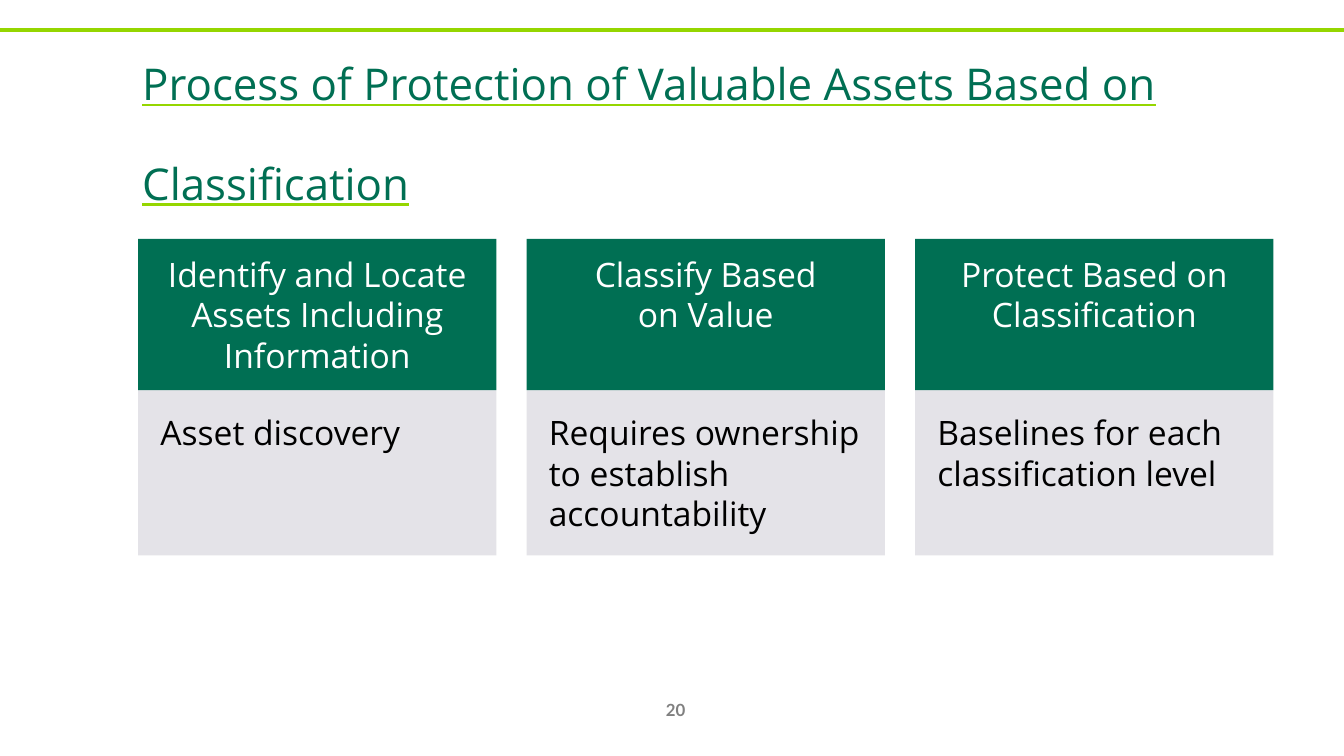
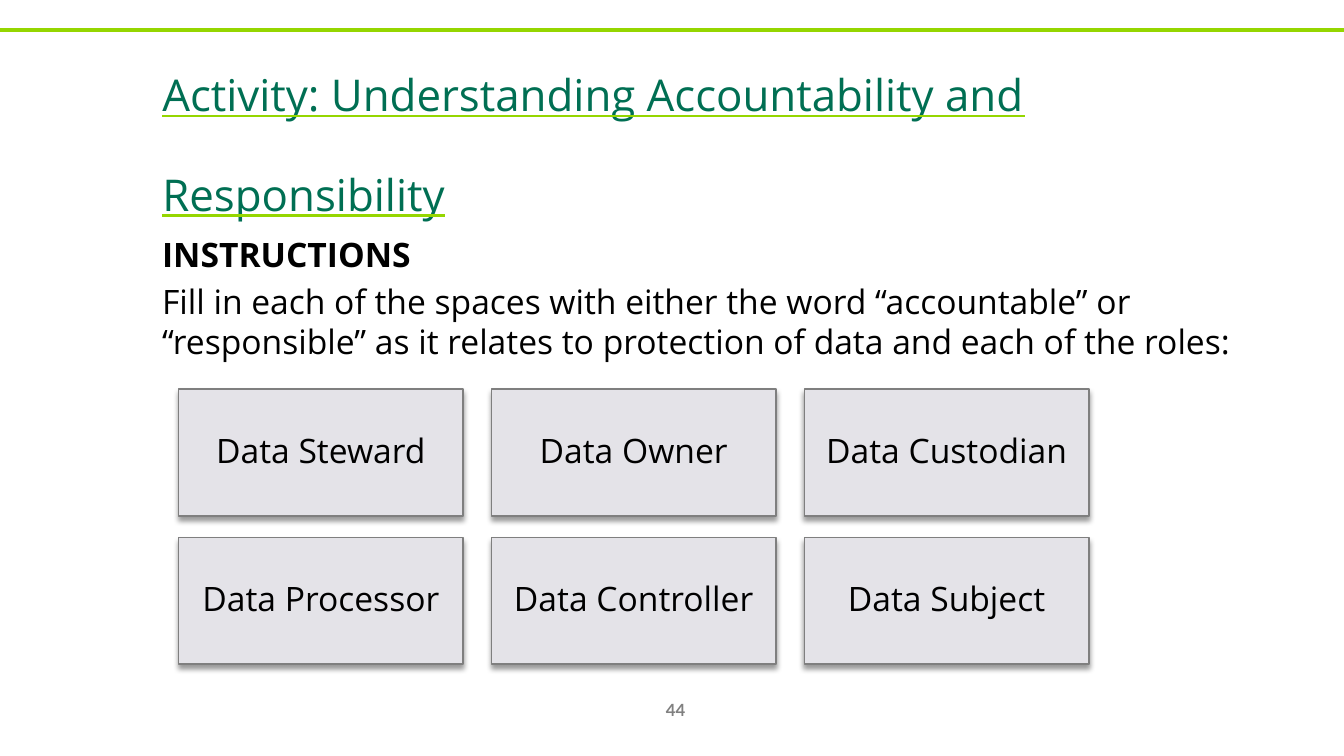
from collections import namedtuple

from lxml import etree
from pptx import Presentation
from pptx.dml.color import RGBColor
from pptx.enum.shapes import MSO_CONNECTOR, MSO_SHAPE
from pptx.enum.text import MSO_ANCHOR as Anchor, MSO_AUTO_SIZE, PP_ALIGN as Align
from pptx.oxml.ns import qn
from pptx.util import Inches, Pt

GREEN = RGBColor(0x00, 0x6F, 0x53)
LIME = RGBColor(0x95, 0xD6, 0x00)
PALE = RGBColor(0xE4, 0xE3, 0xE8)
GREY = RGBColor(0x7F, 0x7F, 0x7F)
NUMBER_GREY = RGBColor(0x80, 0x80, 0x80)
BLACK = RGBColor(0, 0, 0)
WHITE = RGBColor(0xFF, 0xFF, 0xFF)
FONT, NUMBER_FONT = "Open Sans", "Lato"
WIDTH, HEIGHT = 13.33, 7.5

Box = namedtuple("Box", "left top width height")


def emu(box):
    return [Inches(v) for v in box]


def grid(box, cols, rows=1, gap_x=0.0, gap_y=0.0):
    """Return the cells of a box, row by row."""
    w = (box.width - (cols - 1) * gap_x) / cols
    h = (box.height - (rows - 1) * gap_y) / rows
    return [Box(box.left + c * (w + gap_x), box.top + r * (h + gap_y), w, h)
            for r in range(rows) for c in range(cols)]


def style_paragraph(p, color, size=24, bold=False, name=FONT, align=Align.LEFT):
    p.alignment = align
    for r in p.runs:
        r.font.size = Pt(size)
        r.font.bold = bold
        r.font.color.rgb = color
        r.font.name = name


def set_frame(tf, insets=(0.1, 0.05, 0.1, 0.05), anchor=Anchor.TOP):
    tf.word_wrap = True
    tf.auto_size = MSO_AUTO_SIZE.NONE
    tf.vertical_anchor = anchor
    (tf.margin_left, tf.margin_top,
     tf.margin_right, tf.margin_bottom) = [Inches(v) for v in insets]


def add_panel(s, box, text, fill, color, insets, align=Align.LEFT, anchor=Anchor.TOP):
    sp = s.shapes.add_shape(MSO_SHAPE.RECTANGLE, *emu(box))
    sp.shadow.inherit = False
    sp.fill.solid()
    sp.fill.fore_color.rgb = fill
    sp.line.fill.background()
    tf = sp.text_frame
    set_frame(tf, insets, anchor)
    p = tf.paragraphs[0]
    p.text = text
    style_paragraph(p, color, align=align)
    return sp


def add_shadow(sp):
    effects = sp._element.spPr.find(qn("a:effectLst"))
    shadow = etree.SubElement(effects, qn("a:outerShdw"), blurRad=str(Pt(4)),
                              dist=str(Pt(3)), dir="5400000", rotWithShape="0")
    color = etree.SubElement(shadow, qn("a:srgbClr"), val=str(BLACK))
    etree.SubElement(color, qn("a:alpha"), val="40000")


def add_title(s, box, text):
    sp = s.shapes.title
    sp.left, sp.top, sp.width, sp.height = emu(box)
    tf = sp.text_frame
    tf.text = text
    set_frame(tf, anchor=Anchor.MIDDLE)
    p = tf.paragraphs[0]
    p.line_spacing = 1.1
    style_paragraph(p, GREEN, size=54)
    # Raised text with a lime underline
    r = p.runs[0]
    r.font.underline = True
    props = r.font._element
    props.set("baseline", "12000")
    underline = etree.Element(qn("a:uFill"))
    fill = etree.SubElement(underline, qn("a:solidFill"))
    etree.SubElement(fill, qn("a:srgbClr"), val=str(LIME))
    props.find(qn("a:solidFill")).addnext(underline)


def add_base_slide(prs, number, title, title_box):
    s = prs.slides.add_slide(prs.slide_layouts[5])
    # Top rule
    y = Inches(0.04 * HEIGHT)
    rule = s.shapes.add_connector(MSO_CONNECTOR.STRAIGHT, 0, y, prs.slide_width, y)
    rule.line.color.rgb = LIME
    rule.line.width = Pt(3)
    etree.SubElement(rule._element.spPr, qn("a:effectLst"))
    # Slide number
    tf = s.shapes.add_textbox(*emu(Box(6.39, 6.84, 0.62, 0.4))).text_frame
    tf.text = str(number)
    set_frame(tf, anchor=Anchor.MIDDLE)
    style_paragraph(tf.paragraphs[0], NUMBER_GREY, 12, True, NUMBER_FONT, Align.CENTER)
    add_title(s, title_box, title)
    return s


def add_step_columns(s, box, steps, head_height):
    for cell, (heading, detail) in zip(grid(box, len(steps), gap_x=0.3), steps):
        head = cell._replace(height=head_height)
        body = cell._replace(top=cell.top + head_height,
                             height=cell.height - head_height)
        add_panel(s, body, detail, PALE, BLACK, (0.22, 0.22, 0, 0.22))
        add_panel(s, head, heading, GREEN, WHITE, (0.15,) * 4, Align.CENTER)


def add_instructions(s, box, heading, text):
    tf = s.shapes.add_textbox(*emu(box)).text_frame
    set_frame(tf)
    tf.text = heading
    style_paragraph(tf.paragraphs[0], BLACK, bold=True)
    p = tf.add_paragraph()
    p.text = text
    p.space_before = Pt(4.8)
    style_paragraph(p, BLACK)


def add_role_cards(s, box, roles):
    for cell, role in zip(grid(box, 3, 2, 0.28, 0.21), roles):
        sp = add_panel(s, cell, role, PALE, BLACK, (0.07,) * 4,
                       Align.CENTER, Anchor.MIDDLE)
        sp.text_frame.paragraphs[0].line_spacing = 0.9
        sp.line.color.rgb = GREY
        sp.line.width = Pt(1)
        add_shadow(sp)


def build_process_slide(prs):
    s = add_base_slide(
        prs, 20, "Process of Protection of Valuable Assets Based on Classification",
        Box(1.31, 0.61, 12.02, 1.25))
    steps = [
        ("Identify and Locate Assets Including Information", "Asset discovery"),
        ("Classify Based\von Value", "Requires ownership\vto establish accountability"),
        ("Protect Based on Classification", "Baselines for each classification level"),
    ]
    add_step_columns(s, Box(1.37, 2.37, 11.26, 3.14), steps, head_height=1.5)


def build_activity_slide(prs):
    s = add_base_slide(
        prs, 44, "Activity: Understanding Accountability and Responsibility",
        Box(1.51, 0.72, 9.82, 1.25))
    add_instructions(
        s, Box(1.51, 2.27, 11.37, 1.52), "INSTRUCTIONS",
        "Fill in each of the spaces with either the word “accountable” or "
        "“responsible” as it relates to protection of data and each of the roles:")
    roles = ["Data Steward", "Data Owner", "Data Custodian",
             "Data Processor", "Data Controller", "Data Subject"]
    add_role_cards(s, Box(1.77, 3.86, 9.03, 2.73), roles)


def main():
    prs = Presentation()
    prs.slide_width, prs.slide_height = Inches(WIDTH), Inches(HEIGHT)
    build_process_slide(prs)
    build_activity_slide(prs)
    prs.save("out.pptx")


if __name__ == "__main__":
    main()
